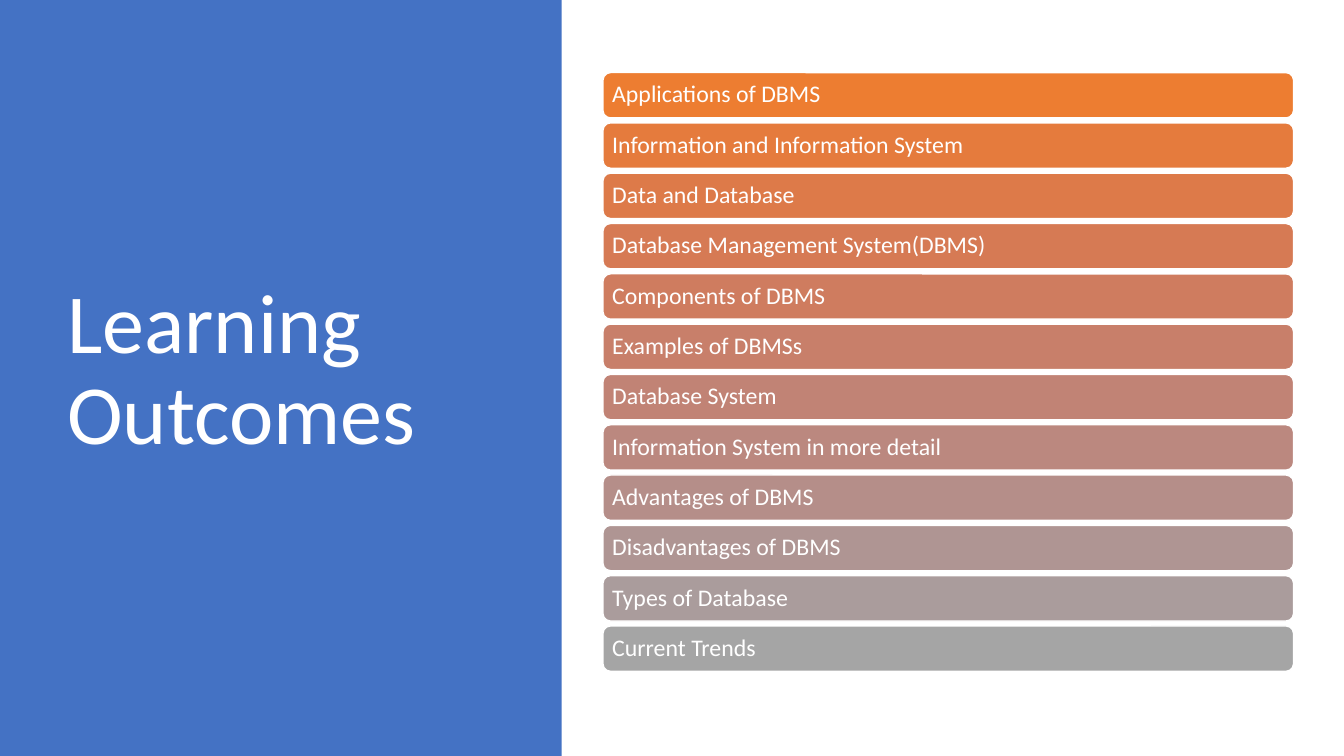
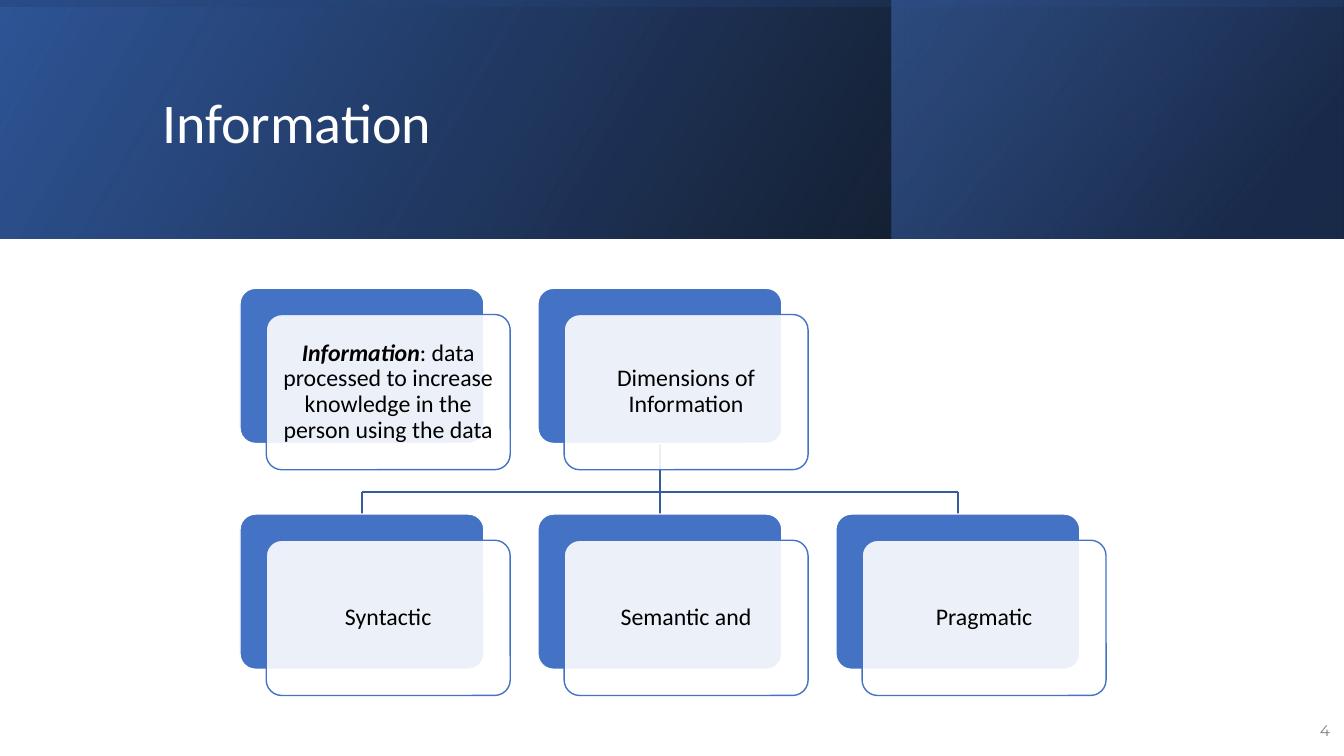
from colorsys import hls_to_rgb, rgb_to_hls

from lxml import etree
from pptx import Presentation
from pptx.dml.color import RGBColor
from pptx.enum.shapes import MSO_CONNECTOR, MSO_SHAPE
from pptx.enum.text import MSO_ANCHOR, PP_ALIGN
from pptx.oxml.ns import qn
from pptx.util import Inches, Pt

RECTANGLE, ROUNDED = MSO_SHAPE.RECTANGLE, MSO_SHAPE.ROUNDED_RECTANGLE
STRAIGHT = MSO_CONNECTOR.STRAIGHT
MIDDLE = MSO_ANCHOR.MIDDLE
LEFT, CENTER, RIGHT = PP_ALIGN.LEFT, PP_ALIGN.CENTER, PP_ALIGN.RIGHT


class Theme:
    white, black, gray = "FFFFFF", "000000", "808080"
    blue, deep_blue, navy, connector = "4472C4", "2F5597", "203864", "365B9D"
    first_bar, last_bar = "ED7D31", "A5A5A5"
    font, number_font = "Calibri", "Montserrat"
    cover_size, title_size, body_size, number_size = 60, 40, 17, 11
    line_width, line_spacing = 1, 0.9


# Content
OUTCOMES_TITLE = "Learning Outcomes"
OUTCOMES = [
    "Applications of DBMS",
    "Information and Information System",
    "Data and Database",
    "Database Management System(DBMS)",
    "Components of DBMS",
    "Examples of DBMSs",
    "Database System",
    "Information System in more detail",
    "Advantages of DBMS",
    "Disadvantages of DBMS",
    "Types of Database",
    "Current Trends",
]
INFORMATION_TITLE = "Information"
PAGE_NUMBER = "4"
# Each card: column, row, emphasised lead, text
CARDS = [
    (0, 0, "Information",
     ": data processed to increase knowledge in the person using the data"),
    (1, 0, "", "Dimensions of Information"),
    (0, 1, "", "Syntactic"),
    (1, 1, "", "Semantic and"),
    (2, 1, "", "Pragmatic"),
]
# Each band: box, rotation, gradient angle, stops (position, colour, opacity)
BANDS = [
    ((0, 0, 13.33, 2.37), 0, 330,
     [(0, Theme.black, 96), (100, Theme.deep_blue, 100)]),
    ((8.84, 0, 4.48, 2.37), 0, 320,
     [(19, Theme.navy, 68), (100, Theme.blue, 48)]),
    ((5.48, -5.48, 2.37, 13.33), 270, 350,
     [(23, Theme.deep_blue, 16), (99, Theme.black, 45)]),
]

# Layout, in inches
BAR_LEFT, BAR_WIDTH, BAR_HEIGHT = 5.98, 6.85, 0.45
FIRST_BAR_TOP, LAST_BAR_TOP = 0.72, 6.21
CARD_WIDTH, CARD_HEIGHT, CARD_OFFSET = 2.42, 1.54, 0.26
CARD_LEFT, CARD_TOP, COLUMN_STEP, ROW_STEP = 2.38, 2.86, 2.955, 2.24
CROSSBAR_TOP = 4.88


# Shared helpers
def color(code):
    return RGBColor.from_string(code)


def add_box(slide, kind, box, fill, line=None):
    shape = slide.shapes.add_shape(kind, *map(Inches, box))
    shape.shadow.inherit = False
    shape.fill.solid()
    shape.fill.fore_color.rgb = color(fill)
    if line:
        shape.line.color.rgb = color(line)
        shape.line.width = Pt(Theme.line_width)
    else:
        shape.line.fill.background()
    return shape


def set_opacity(color_element, percent):
    etree.SubElement(color_element, qn("a:alpha"), val=str(percent * 1000))


def write(shape, text, size, text_color, align=LEFT, lead="",
          font=Theme.font, side=0.1, edge=0.05):
    frame = shape.text_frame
    frame.word_wrap = True
    frame.vertical_anchor = MIDDLE
    frame.margin_left = frame.margin_right = Inches(side)
    frame.margin_top = frame.margin_bottom = Inches(edge)
    paragraph = frame.paragraphs[0]
    paragraph.alignment = align
    paragraph.line_spacing = Theme.line_spacing
    paragraph.font.name = font
    paragraph.font.size = Pt(size)
    paragraph.font.color.rgb = color(text_color)
    if lead:
        lead_run = paragraph.add_run()
        lead_run.text = lead
        lead_run.font.bold = lead_run.font.italic = True
    paragraph.add_run().text = text


def add_text(slide, box, *args, **options):
    write(slide.shapes.add_textbox(*map(Inches, box)), *args, **options)


def add_line(slide, *ends):
    line = slide.shapes.add_connector(STRAIGHT, *map(Inches, ends))
    line.line.color.rgb = color(Theme.connector)
    line.line.width = Pt(Theme.line_width)
    etree.SubElement(line._element.spPr, qn("a:effectLst"))


def add_band(slide, box, rotation, angle, stops):
    band = add_box(slide, RECTANGLE, box, Theme.white)
    band.rotation = rotation
    properties = band._element.spPr
    properties.find(qn("a:xfrm")).set("flipH", "1")
    gradient = etree.Element(qn("a:gradFill"), rotWithShape="1")
    stop_list = etree.SubElement(gradient, qn("a:gsLst"))
    for position, code, opacity in stops:
        stop = etree.SubElement(stop_list, qn("a:gs"), pos=str(position * 1000))
        set_opacity(etree.SubElement(stop, qn("a:srgbClr"), val=code), opacity)
    etree.SubElement(gradient, qn("a:lin"), ang=str(angle * 60000), scaled="0")
    properties.replace(properties.find(qn("a:solidFill")), gradient)


def blend(start, end, share):
    """Mix two colours by hue, lightness and saturation."""
    start_hls, end_hls = (
        rgb_to_hls(*(part / 255 for part in color(code))) for code in (start, end))
    mixed = (a + (b - a) * share for a, b in zip(start_hls, end_hls))
    return "".join(f"{round(part * 255):02X}" for part in hls_to_rgb(*mixed))


# Slides
def build_outcomes(slide):
    add_box(slide, RECTANGLE, (0, 0, 5.57, 7.5), Theme.blue)
    add_text(slide, (0.57, 0.68, 4.16, 6.02), OUTCOMES_TITLE,
             Theme.cover_size, Theme.white)
    for index, outcome in enumerate(OUTCOMES):
        share = index / (len(OUTCOMES) - 1)
        top = FIRST_BAR_TOP + (LAST_BAR_TOP - FIRST_BAR_TOP) * share
        bar = add_box(slide, ROUNDED, (BAR_LEFT, top, BAR_WIDTH, BAR_HEIGHT),
                      blend(Theme.first_bar, Theme.last_bar, share), Theme.white)
        write(bar, outcome, Theme.body_size, Theme.white, side=0.07)


def add_tree_lines(slide):
    left, middle, right = (
        CARD_LEFT + CARD_WIDTH / 2 + column * COLUMN_STEP for column in range(3))
    bottom = CARD_TOP + ROW_STEP
    add_line(slide, middle, CARD_TOP + CARD_HEIGHT, middle, bottom)
    add_line(slide, left, CROSSBAR_TOP, right, CROSSBAR_TOP)
    for center in (left, right):
        add_line(slide, center, CROSSBAR_TOP, center, bottom)


def add_card(slide, column, row, lead, text):
    left = CARD_LEFT + column * COLUMN_STEP
    top = CARD_TOP + row * ROW_STEP
    back = add_box(slide, ROUNDED, (left, top, CARD_WIDTH, CARD_HEIGHT),
                   Theme.blue, Theme.white)
    front = add_box(slide, ROUNDED,
                    (left + CARD_OFFSET, top + CARD_OFFSET, CARD_WIDTH, CARD_HEIGHT),
                    Theme.white, Theme.blue)
    for shape in (back, front):
        shape.adjustments[0] = 0.1
    set_opacity(front._element.spPr.find(qn("a:solidFill"))[0], 90)
    write(front, text, Theme.body_size, Theme.black, CENTER, lead,
          side=0.07, edge=0.07)


def build_information(slide):
    for band in BANDS:
        add_band(slide, *band)
    add_text(slide, (1.51, 0.38, 10.63, 1.72), INFORMATION_TITLE,
             Theme.title_size, Theme.white)
    add_text(slide, (12.8, 7.06, 0.49, 0.4), PAGE_NUMBER, Theme.number_size,
             Theme.gray, RIGHT, font=Theme.number_font)
    add_tree_lines(slide)
    for card in CARDS:
        add_card(slide, *card)


def main():
    presentation = Presentation()
    presentation.slide_width = Inches(13.33)
    presentation.slide_height = Inches(7.5)
    blank = presentation.slide_layouts[6]
    for build in (build_outcomes, build_information):
        build(presentation.slides.add_slide(blank))
    presentation.save("out.pptx")


if __name__ == "__main__":
    main()
